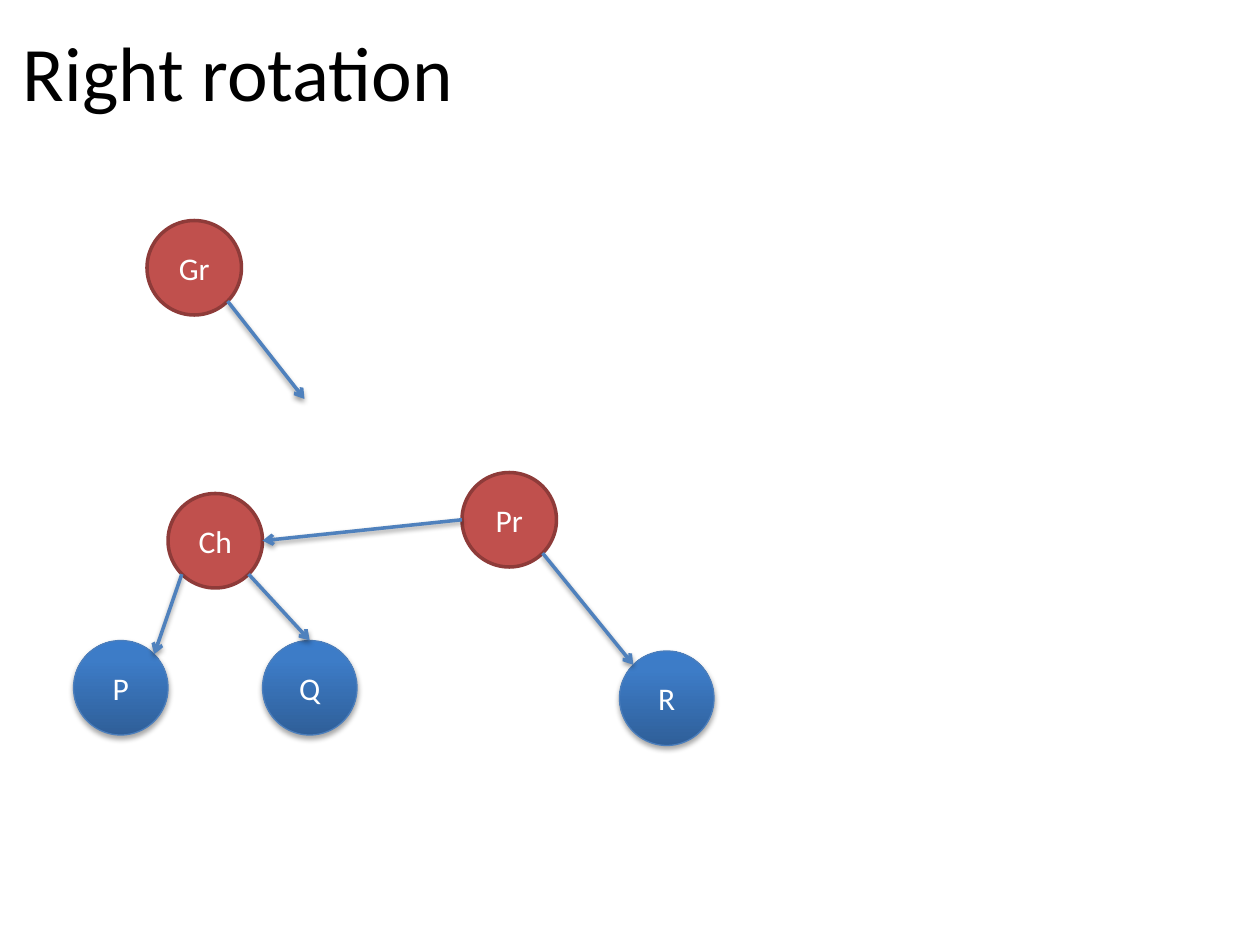
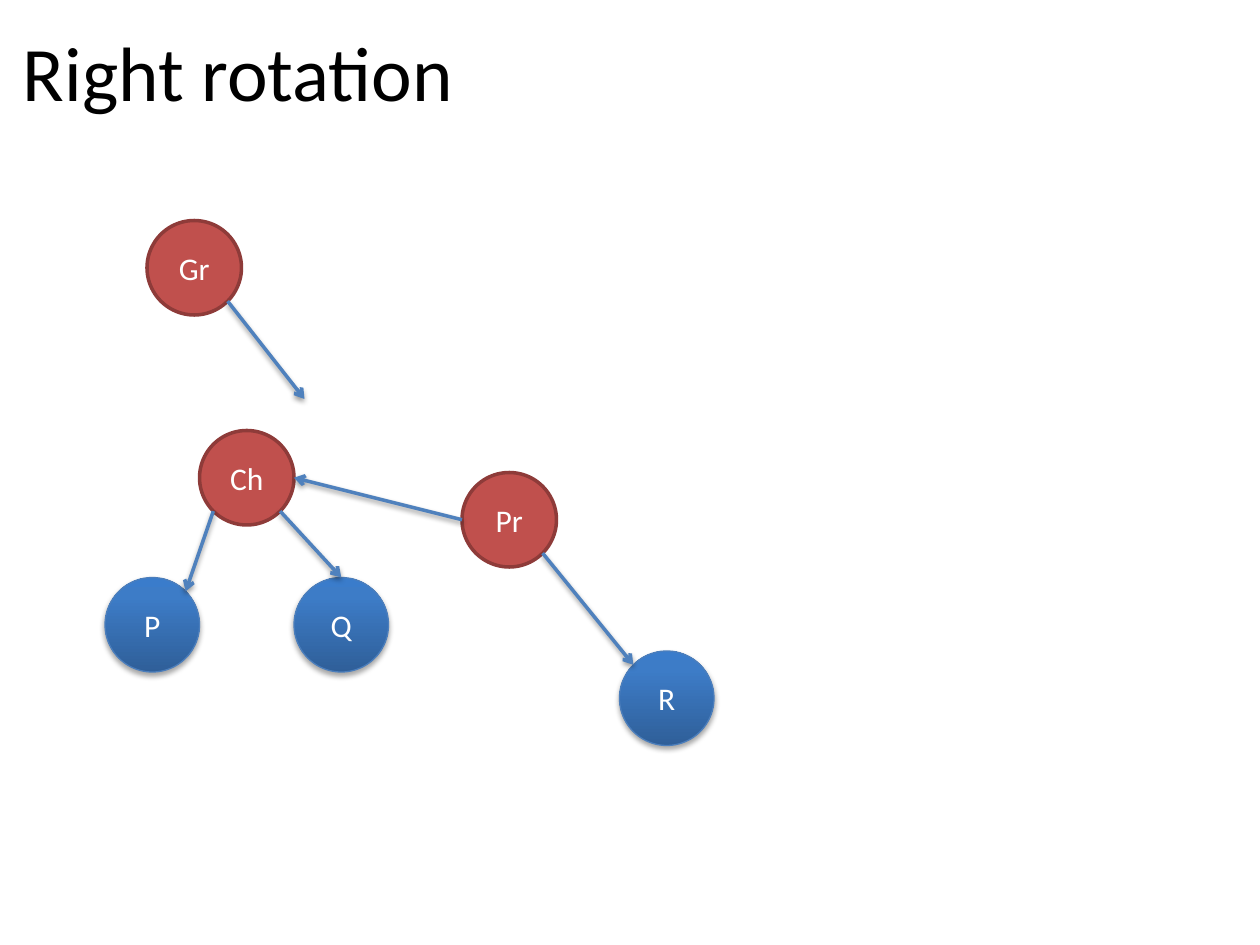
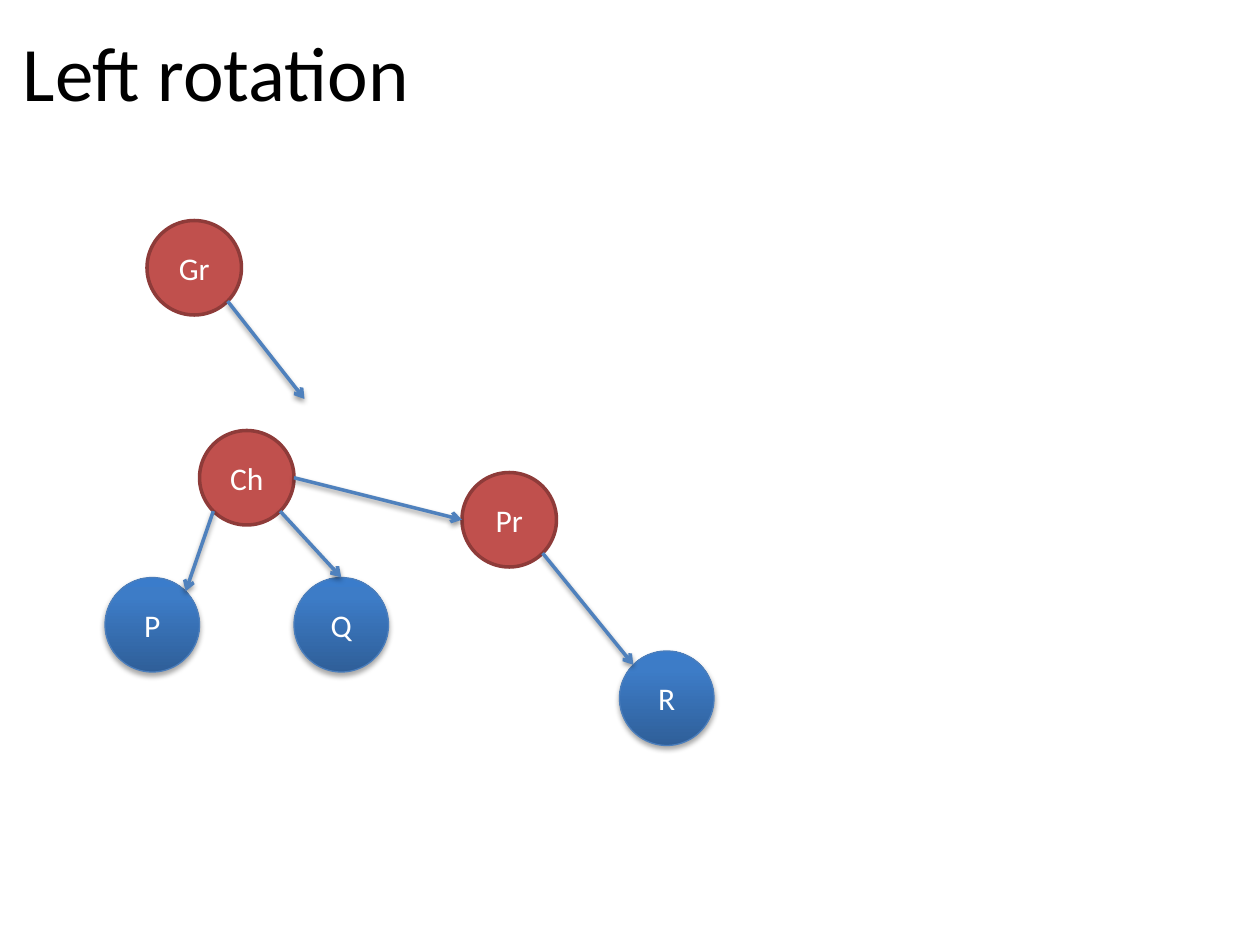
from math import cos, radians, sin

from lxml import etree
from pptx import Presentation
from pptx.dml.color import RGBColor
from pptx.enum.shapes import MSO_CONNECTOR, MSO_SHAPE
from pptx.enum.text import MSO_ANCHOR, PP_ALIGN
from pptx.oxml.ns import qn
from pptx.util import Inches, Pt

OVAL = MSO_SHAPE.OVAL
STRAIGHT = MSO_CONNECTOR.STRAIGHT
MIDDLE = MSO_ANCHOR.MIDDLE
LEFT, CENTER = PP_ALIGN.LEFT, PP_ALIGN.CENTER

SLIDE_WIDTH, SLIDE_HEIGHT = Inches(10), Inches(7.5)
CELL = SLIDE_WIDTH / 120
DIAMETER = 9
FONT = "Calibri"
BLACK, WHITE = "000000", "FFFFFF"
RED, DARK_RED = "C0504D", "8E3B39"
LEAF_LINE, ARROW = "4B7EBC", "4F81BD"
LEAF_STOPS = [(0, "2F5F99"), (80, "3D7CC7"), (100, "3A7CCB")]

TITLE_BOX = (1, 1, 117, 11.4)
TREE_ORIGIN = (7, 21)
GRANDPARENT, PARENT, RIGHT_LEAF = (7, 0), (37, 24), (52, 41)
LOOSE_END = (22, 17)
LOW_CHILD, RAISED_CHILD = (9, 26), (12, 20)
EAST, SOUTH_EAST, SOUTH_WEST = 0, 45, 135
WEST, NORTH_WEST, NORTH, NORTH_EAST = 180, 225, 270, 315


def color(code):
    """Turn a hex string into a colour."""
    return RGBColor.from_string(code)


def cells(*counts):
    """Convert grid cells to slide lengths."""
    return [round(count * CELL) for count in counts]


def child(parent, tag, **attributes):
    """Append a drawing element with the given attributes."""
    texts = {name: str(value) for name, value in attributes.items()}
    return etree.SubElement(parent, qn(f"a:{tag}"), texts)


def cast_shadow(effects, distance, opacity):
    """Add a soft shadow falling straight down."""
    shadow = child(effects, "outerShdw", blurRad=Pt(3.1), dist=Pt(distance),
                   dir=90 * 60000, rotWithShape=0)
    tone = child(shadow, "srgbClr", val=BLACK)
    child(tone, "alpha", val=opacity * 1000)


def fill_gradient(shape, stops):
    """Fill a shape with a gradient running from bottom to top."""
    gradient = etree.Element(qn("a:gradFill"), {"rotWithShape": "1"})
    stop_list = child(gradient, "gsLst")
    for position, code in stops:
        child(child(stop_list, "gs", pos=position * 1000), "srgbClr", val=code)
    child(gradient, "lin", ang=270 * 60000, scaled=0)
    shape.element.spPr.find(qn("a:prstGeom")).addnext(gradient)


def write(frame, text, size, code, align):
    """Put one line of vertically centred text in a frame."""
    frame.text = text
    frame.word_wrap = True
    frame.vertical_anchor = MIDDLE
    para = frame.paragraphs[0]
    para.alignment = align
    font = para.runs[0].font
    font.name, font.size = FONT, Pt(size)
    font.color.rgb = color(code)


def add_title(page, text, box):
    """Add the slide title in its grid box."""
    title = page.shapes.add_textbox(*cells(*box))
    write(title.text_frame, text, 44, BLACK, LEFT)


def add_node(page, label, corner, is_leaf=False):
    """Add a round tree node, blue for leaves and red for the others."""
    node = page.shapes.add_shape(OVAL, *cells(*corner, DIAMETER, DIAMETER))
    node.line.color.rgb = color(LEAF_LINE if is_leaf else DARK_RED)
    node.line.width = Pt(0.75 if is_leaf else 2)
    node.shadow.inherit = False
    if is_leaf:
        fill_gradient(node, LEAF_STOPS)
        cast_shadow(node.element.spPr.find(qn("a:effectLst")), 1.8, 35)
    else:
        node.fill.solid()
        node.fill.fore_color.rgb = color(RED)
    frame = node.text_frame
    frame.margin_left = frame.margin_right = 0
    write(frame, label, 18, WHITE, CENTER)


def add_arrow(page, start, end):
    """Add an arrow between two grid points."""
    arrow = page.shapes.add_connector(STRAIGHT, *cells(*start, *end))
    arrow.line.color.rgb = color(ARROW)
    arrow.line.width = Pt(2)
    child(arrow.line._get_or_add_ln(), "tailEnd", type="arrow")
    cast_shadow(child(arrow.element.spPr, "effectLst"), 1.6, 38)


def rim(corner, angle):
    """Find the point on a node's rim, clockwise from east."""
    radius = DIAMETER / 2
    return (corner[0] + radius * (1 + cos(radians(angle))),
            corner[1] + radius * (1 + sin(radians(angle))))


def add_tree(page, origin, child_offset, child_on_top):
    """Draw the tree from its origin, with the child node at its offset."""
    def place(offset):
        return origin[0] + offset[0], origin[1] + offset[1]

    column, row = child_offset
    spots = {
        "Gr": place(GRANDPARENT),
        "Pr": place(PARENT),
        "Ch": place(child_offset),
        "P": place((column - DIAMETER, row + 14)),
        "Q": place((column + DIAMETER, row + 14)),
        "R": place(RIGHT_LEAF),
    }
    for label, corner in spots.items():
        add_node(page, label, corner, label in "PQR")

    middle_link = [("Pr", WEST), ("Ch", EAST)]
    if child_on_top:
        middle_link.reverse()
    links = [
        middle_link,
        [("Ch", SOUTH_WEST), ("P", NORTH_EAST)],
        [("Ch", SOUTH_EAST), ("Q", NORTH)],
        [("Pr", SOUTH_EAST), ("R", NORTH_WEST)],
    ]
    add_arrow(page, rim(spots["Gr"], SOUTH_EAST), place(LOOSE_END))
    for link in links:
        start, end = [rim(spots[label], angle) for label, angle in link]
        add_arrow(page, start, end)


def main():
    """Build and save the rotation slides."""
    deck = Presentation()
    deck.slide_width, deck.slide_height = SLIDE_WIDTH, SLIDE_HEIGHT
    steps = [
        ("Right rotation", LOW_CHILD, False),
        ("Right rotation", RAISED_CHILD, False),
        ("Left rotation", RAISED_CHILD, True),
    ]
    for title, child_offset, child_on_top in steps:
        page = deck.slides.add_slide(deck.slide_layouts[6])
        add_title(page, title, TITLE_BOX)
        add_tree(page, TREE_ORIGIN, child_offset, child_on_top)
    deck.save("out.pptx")


if __name__ == "__main__":
    main()
